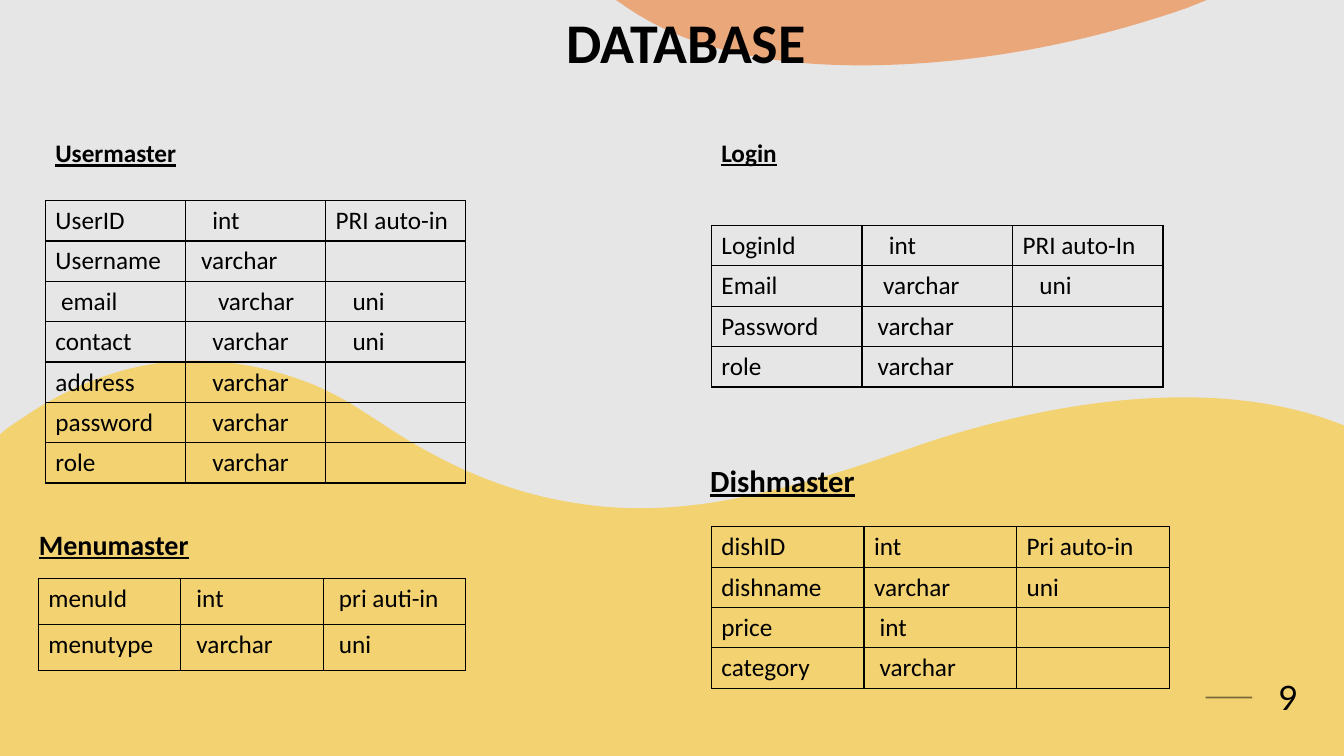
from dataclasses import dataclass

from lxml import etree
from pptx import Presentation
from pptx.dml.color import RGBColor
from pptx.enum.shapes import MSO_CONNECTOR
from pptx.enum.text import MSO_ANCHOR, MSO_AUTO_SIZE, PP_ALIGN
from pptx.oxml.ns import qn
from pptx.util import Inches, Pt

LINE = MSO_CONNECTOR.STRAIGHT
LOW, MID = MSO_ANCHOR.BOTTOM, MSO_ANCHOR.MIDDLE
FIXED = MSO_AUTO_SIZE.NONE
LEFT, CENTRE = PP_ALIGN.LEFT, PP_ALIGN.CENTER
WIDE, HIGH = Inches(13.33), Inches(7.5)
PAD, INDENT = Inches(0.1), Pt(4)


@dataclass(frozen=True)
class Theme:
    """Colours, fonts and type sizes of the slide."""
    ink: str = "000000"
    back: str = "E7E6E6"
    gold: str = "FFC000"
    clay: str = "ED7D31"
    face: str = "Calibri"
    digit: str = "Lato"
    title: int = 40
    page: int = 24
    cell: int = 18


THEME = Theme()

HILLS = [
    (15.15, 0),
    (17.7, 0.26, 20.26, 2.04, 22.81, 5.36),
    (25.06, 8.16, 27.01, 12.76, 28.96, 17.09),
    (33.23, 26.53, 37.88, 33.67, 43.29, 36.22),
    (47.79, 38.52, 52.36, 36.99, 56.94, 33.16),
    (62.04, 29.08, 65.04, 25.26, 68.12, 21.68),
    (71.12, 18.11, 87.1, -0.26, 99.4, 15.56),
    (100, 16.33), (100, 100), (0, 100), (0, 18.62), (0.53, 17.09),
    (1.2, 15.56, 1.88, 14.03, 2.55, 12.5),
    (6.75, 3.57, 10.95, -0.51, 15.15, 0),
]
CLOUD = [
    (0, 0), (100, 0), (96.59, 12.31),
    (75.94, 76.92, 59.73, 90.77, 53.41, 95.38),
    (24.74, 115.38, 10.24, 63.08, 1.71, 10.77),
]

USER = [
    ("UserID", 0, "int", 3, "PRI auto-in", 0),
    ("Username", 0, "varchar", 1, "", 0),
    ("email", 1, "varchar", 4, "uni", 3),
    ("contact", 0, "varchar", 3, "uni", 3),
    ("address", 0, "varchar", 3, "", 0),
    ("password", 0, "varchar", 3, "", 0),
    ("role", 0, "varchar", 3, "", 0),
]
LOGIN = [
    ("LoginId", 0, "int", 3, "PRI auto-In", 0),
    ("Email", 0, "varchar", 2, "uni", 3),
    ("Password", 0, "varchar", 1, "", 0),
    ("role", 0, "varchar", 1, "", 0),
]
MENU = [
    ("menuId", 0, "int", 1, "pri auti-in", 1),
    ("menutype", 0, "varchar", 1, "uni", 1),
]
DISH = [
    ("dishID", 0, "int", 0, "Pri auto-in", 0),
    ("dishname", 0, "varchar", 0, "uni", 0),
    ("price", 0, "int", 1, "", 0),
    ("category", 0, "varchar", 1, "", 0),
]
BLOCKS = [
    ("Usermaster", 18, (3.38, 17.53, 29.56, 5.33), USER, (3.38, 26.53, 31.28, 37.33)),
    ("Login", 18, (52.93, 17.47, 8.63, 5.33), LOGIN, (52.93, 29.83, 33.61, 21.33)),
    ("Menumaster", 20, (2.15, 69.07, 35.18, 5.87), MENU, (2.85, 76.53, 31.81, 12.13)),
    ("Dishmaster", 22, (52.1, 60.4, 29.48, 6.27), DISH, (52.93, 69.68, 34.06, 21.33)),
]


def place(box):
    """Turn a box in percent of the slide into lengths."""
    return [round(part * side / 100) for part, side in zip(box, (WIDE, HIGH, WIDE, HIGH))]


def style(para, text, size, face=THEME.face, bold=False, under=False):
    """Fill a paragraph and set its font."""
    para.text = text
    font = para.font
    font.name, font.size = face, Pt(size)
    font.bold, font.underline = bold, under
    font.color.rgb = RGBColor.from_string(THEME.ink)


def fade(props, alpha):
    """Make the first plain colour translucent."""
    shade = props.find(f".//{qn('a:srgbClr')}")
    etree.SubElement(shade, qn("a:alpha"), val=str(alpha * 1000))


def trace(route, parts):
    """Write lines and curves, in percent of the box, into an outline."""
    route.clear()
    route.set("w", "10000")
    route.set("h", "10000")
    for spot, part in enumerate(parts):
        kind = "cubicBezTo" if len(part) == 6 else "lnTo" if spot else "moveTo"
        move = etree.SubElement(route, qn(f"a:{kind}"))
        for x, y in zip(part[::2], part[1::2]):
            etree.SubElement(move, qn("a:pt"), x=str(round(x * 100)), y=str(round(y * 100)))
    etree.SubElement(route, qn("a:close"))


def wave(slide, box, parts, tint, alpha):
    """Draw a translucent curved area in the box."""
    left, top, wide, high = place(box)
    pen = slide.shapes.build_freeform(left, top)
    pen.add_line_segments([(left + wide, top), (left + wide, top + high)])
    shape = pen.convert_to_shape()
    props = shape.element.spPr
    trace(props.find(f".//{qn('a:path')}"), parts)
    shape.shadow.inherit = False
    shape.line.fill.background()
    shape.fill.solid()
    shape.fill.fore_color.rgb = RGBColor.from_string(tint)
    fade(props, alpha)


def banner(slide, box):
    """Place the title above the waves."""
    title = slide.shapes.title
    title.element.getparent().append(title.element)
    title.left, title.top, title.width, title.height = place(box)
    frame = title.text_frame
    frame.auto_size, frame.vertical_anchor = FIXED, LOW
    para = frame.paragraphs[0]
    style(para, "DATABASE", THEME.title, bold=True)
    para.alignment, para.line_spacing = LEFT, 0.9


def label(slide, box):
    """Add an empty wrapping text box."""
    frame = slide.shapes.add_textbox(*place(box)).text_frame
    frame.word_wrap = True
    return frame


def footer(slide, box):
    """Draw the page number and the rule to its left."""
    left, top, wide, high = place(box)
    level = top + high // 2
    rule = slide.shapes.add_connector(LINE, left - round(wide * 0.64), level, left, level)
    rule.line.color.rgb = RGBColor.from_string(THEME.ink)
    rule.line.width = Pt(1.25)
    fade(rule.element.spPr, 50)
    etree.SubElement(rule.element.spPr, qn("a:effectLst"))
    frame = label(slide, box)
    frame.vertical_anchor = MID
    para = frame.paragraphs[0]
    style(para, "9", THEME.page, THEME.digit)
    para.alignment = CENTRE


def border(cell):
    """Give a cell thin lines on all four sides."""
    props = cell._tc.get_or_add_tcPr()
    for spot, side in enumerate(("lnL", "lnR", "lnT", "lnB")):
        edge = etree.Element(qn(f"a:{side}"), w=str(Pt(1)))
        fill = etree.SubElement(edge, qn("a:solidFill"))
        etree.SubElement(fill, qn("a:srgbClr"), val=THEME.ink)
        props.insert(spot, edge)


def schema(slide, box, rows):
    """Fill the box with an outlined table of fields."""
    count = len(rows[0]) // 2
    table = slide.shapes.add_table(len(rows), count, *place(box)).table
    table.first_row = table.horz_banding = False
    for row, line in enumerate(rows):
        for col, (text, depth) in enumerate(zip(line[::2], line[1::2])):
            cell = table.cell(row, col)
            cell.fill.background()
            cell.margin_left = PAD + depth * INDENT
            style(cell.text_frame.paragraphs[0], text, THEME.cell)
            border(cell)


def main():
    """Build and save the slide."""
    deck = Presentation()
    deck.slide_width, deck.slide_height = WIDE, HIGH
    slide = deck.slides.add_slide(deck.slide_layouts[5])
    slide.background.fill.solid()
    slide.background.fill.fore_color.rgb = RGBColor.from_string(THEME.back)
    wave(slide, (0, 47.73, 100, 52.27), HILLS, THEME.gold, 50)
    wave(slide, (45.84, 0, 43.96, 8.67), CLOUD, THEME.clay, 60)
    banner(slide, (41.41, 2.4, 35.71, 8.27))
    footer(slide, (93.17, 85.73, 5.4, 13.07))
    for name, size, head, rows, body in BLOCKS:
        style(label(slide, head).paragraphs[0], name, size, bold=True, under=True)
        schema(slide, body, rows)
    deck.save("out.pptx")


if __name__ == "__main__":
    main()
